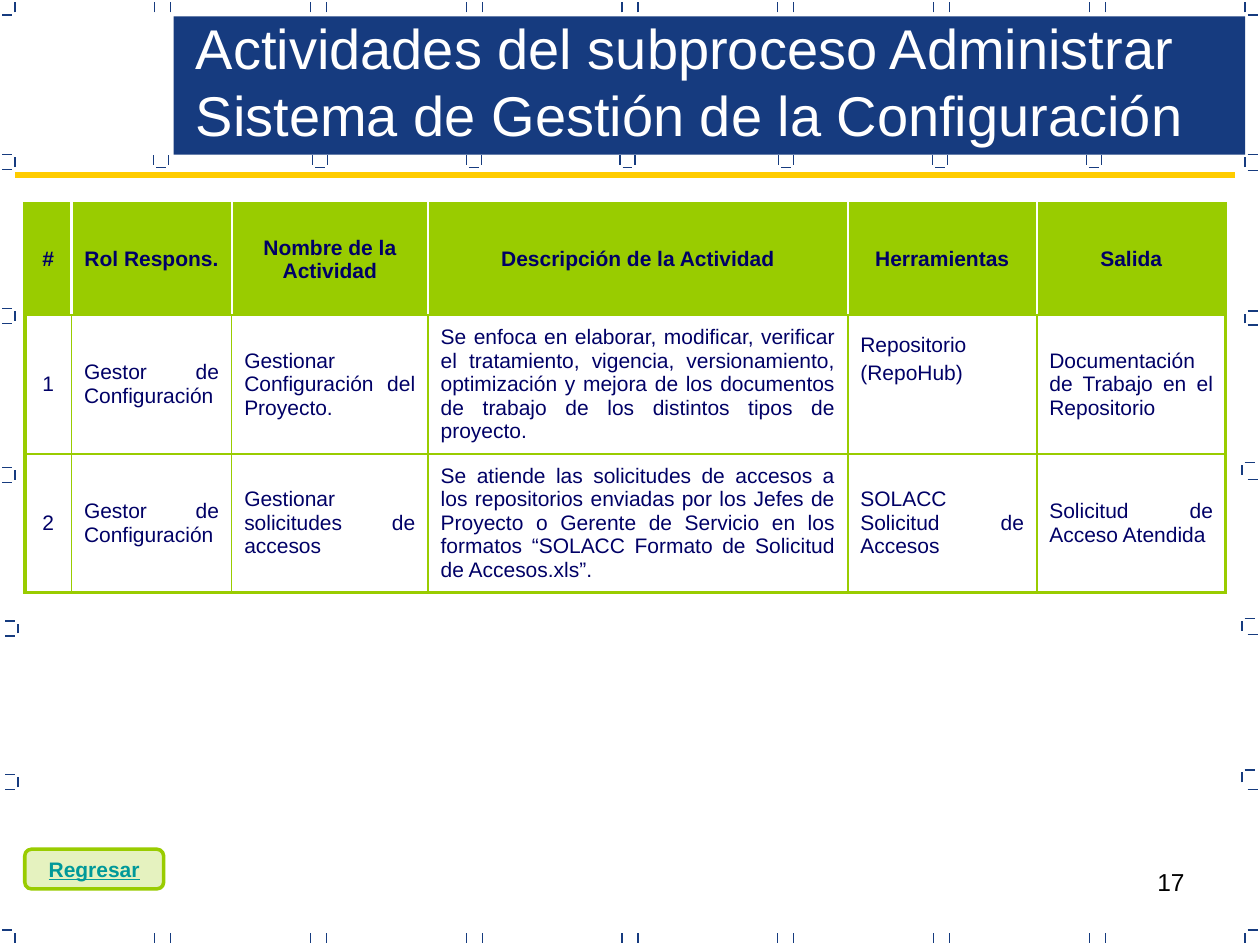
"""Build a slide with the activities table of a configuration management subprocess."""
import lxml.etree
import pptx
import pptx.dml.color
import pptx.enum.shapes
import pptx.enum.text
import pptx.oxml
import pptx.oxml.ns
import pptx.util

Cm = pptx.util.Cm
Pt = pptx.util.Pt
ALIGN = pptx.enum.text.PP_ALIGN
ANCHOR = pptx.enum.text.MSO_ANCHOR
SHAPE = pptx.enum.shapes.MSO_SHAPE

COLORS = {
    "navy": "163B7F",
    "yellow": "FFCC00",
    "green": "99CC00",
    "ink": "000066",
    "teal": "009999",
    "white": "FFFFFF",
    "black": "000000",
}
COLUMN_WIDTHS = [0.94, 3.23, 3.96, 8.46, 3.81, 3.81]
ROW_HEIGHTS = [2.24, 2.77, 2.77]
ROWS = [
    ["#", "Rol Respons.", "Nombre de la Actividad", "Descripción de la Actividad",
     "Herramientas", "Salida"],
    ["1", "Gestor de Configuración", "Gestionar Configuración del Proyecto.",
     "Se enfoca en elaborar, modificar, verificar el tratamiento, vigencia, "
     "versionamiento, optimización y mejora de los documentos de trabajo de los "
     "distintos tipos de proyecto.",
     "Repositorio\n(RepoHub)", "Documentación de Trabajo en el Repositorio"],
    ["2", "Gestor de Configuración", "Gestionar solicitudes de accesos",
     "Se atiende las solicitudes de accesos a los repositorios enviadas por los Jefes "
     "de Proyecto o Gerente de Servicio en los formatos “SOLACC Formato de Solicitud "
     "de Accesos.xls”.",
     "SOLACC Solicitud de Accesos", "Solicitud de Acceso Atendida"],
]


def rgb(name):
    return pptx.dml.color.RGBColor.from_string(COLORS[name])


def write_text(frame, text, size=12, color="ink", bold=False, underline=False,
               align=ALIGN.LEFT, space_before=0):
    for index, line in enumerate(text.split("\n")):
        paragraph = frame.add_paragraph() if index else frame.paragraphs[0]
        paragraph.alignment = align
        paragraph.space_before = Pt(space_before if index else 0)
        run = paragraph.add_run()
        run.text = line
        run.font.name = "Arial"
        run.font.size = Pt(size)
        run.font.bold = bold
        run.font.underline = underline
        run.font.color.rgb = rgb(color)


def add_text_box(slide, left, top, width, height, text, **text_format):
    frame = slide.shapes.add_textbox(Cm(left), Cm(top), Cm(width), Cm(height)).text_frame
    frame.word_wrap = True
    write_text(frame, text, **text_format)


def add_line(slide, x1, y1, x2, y2, color="navy", width=0.75):
    line = slide.shapes.add_connector(
        pptx.enum.shapes.MSO_CONNECTOR.STRAIGHT, Cm(x1), Cm(y1), Cm(x2), Cm(y2))
    line.line.color.rgb = rgb(color)
    line.line.width = Pt(width)
    lxml.etree.SubElement(line._element.spPr, pptx.oxml.ns.qn("a:effectLst"))


def add_shape(slide, kind, left, top, width, height, fill):
    shape = slide.shapes.add_shape(kind, Cm(left), Cm(top), Cm(width), Cm(height))
    shape.shadow.inherit = False
    shape.fill.solid()
    shape.fill.fore_color.rgb = rgb(fill)
    shape.line.fill.background()
    return shape


def add_vertical_mark(slide, x, y):
    add_line(slide, x, y + 0.2, x, y)


def add_horizontal_mark(slide, x, y):
    add_line(slide, x, y, x + 0.2, y)


def add_frame_marks(slide):
    for y in (0.05, 18.8):
        for x in (0.3, 25.1):
            add_vertical_mark(slide, x, y)
        for index in range(7):
            x = 3.12 + 3.14 * index
            add_vertical_mark(slide, x, y)
            add_vertical_mark(slide, x + 0.32, y)
    for y in (0.3, 18.75):
        for x in (0.05, 25.15):
            add_horizontal_mark(slide, x, y)
    for x, y in ((0.3, 3.12), (0.3, 6.22), (0.3, 9.42), (0.36, 12.52), (0.36, 15.62)):
        add_vertical_mark(slide, x, y + 0.05)
        add_horizontal_mark(slide, x - 0.25, y)
        add_horizontal_mark(slide, x - 0.25, y + 0.3)
    right_marks = ((25.1, 3.12), (25.1, 6.27), (25.04, 9.32), (25.04, 12.47), (25.04, 15.52))
    for index, (x, y) in enumerate(right_marks):
        add_vertical_mark(slide, x, y + 0.05)
        add_horizontal_mark(slide, x + 0.05, y)
        add_horizontal_mark(slide, 25.15, 3.43 + 3.12 * index)
    for x in (3.1, 6.3, 9.4, 12.5, 15.7, 18.8, 21.9):
        add_vertical_mark(slide, x, 3.12)
        add_vertical_mark(slide, x + 0.3, 3.12)
        add_horizontal_mark(slide, x + 0.05, 3.38)


def set_border(cell, side, color, width):
    properties = cell._tc.get_or_add_tcPr()
    properties.append(pptx.oxml.parse_xml(
        f'<a:ln{side} {pptx.oxml.ns.nsdecls("a")} w="{Pt(width)}"><a:solidFill>'
        f'<a:srgbClr val="{COLORS[color]}"/></a:solidFill></a:ln{side}>'))


def format_cell(cell, row, column):
    last_row, last_column = len(ROW_HEIGHTS) - 1, len(COLUMN_WIDTHS) - 1
    header = row == 0
    inner = ("white", 1.5) if header else ("green", 1)
    outer = ("green", 2.25)
    set_border(cell, "L", *(outer if column == 0 else inner))
    set_border(cell, "R", *(outer if column == last_column else inner))
    set_border(cell, "T", "green", 2.25 if header else 1.5)
    set_border(cell, "B", "green", 2.25 if row == last_row else 1.5)
    if header:
        cell.fill.solid()
        cell.fill.fore_color.rgb = rgb("green")
    else:
        cell.fill.background()
    cell.vertical_anchor = ANCHOR.MIDDLE


def add_activities_table(slide):
    table = slide.shapes.add_table(
        len(ROW_HEIGHTS), len(COLUMN_WIDTHS), Cm(0.5), Cm(4.11),
        Cm(sum(COLUMN_WIDTHS)), Cm(sum(ROW_HEIGHTS))).table
    table.horz_banding = False
    for column, width in zip(table.columns, COLUMN_WIDTHS):
        column.width = Cm(width)
    for row, height in zip(table.rows, ROW_HEIGHTS):
        row.height = Cm(height)
    for row, texts in enumerate(ROWS):
        for column, text in enumerate(texts):
            cell = table.cell(row, column)
            format_cell(cell, row, column)
            centered = row == 0 or column == 0
            write_text(cell.text_frame, text, bold=row == 0, space_before=2.4,
                       align=ALIGN.CENTER if centered else ALIGN.JUSTIFY)
    table.cell(1, 4).margin_bottom = Cm(1.13)


def add_return_button(slide):
    button = add_shape(slide, SHAPE.FLOWCHART_ALTERNATE_PROCESS, 0.5, 17.12, 2.8, 0.8, "green")
    color = button._element.spPr.find(".//" + pptx.oxml.ns.qn("a:srgbClr"))
    lxml.etree.SubElement(color, pptx.oxml.ns.qn("a:alpha"), val="25000")
    button.line.color.rgb = rgb("green")
    button.line.width = Pt(2)
    button.text_frame.word_wrap = False
    button.text_frame.vertical_anchor = ANCHOR.MIDDLE
    write_text(button.text_frame, "Regresar", color="teal", bold=True, underline=True,
               align=ALIGN.CENTER)


def main():
    presentation = pptx.Presentation()
    presentation.slide_width = Cm(25.4)
    presentation.slide_height = Cm(19.05)
    slide = presentation.slides.add_slide(presentation.slide_layouts[6])
    add_text_box(slide, 18.2, 17.35, 5.93, 1.32, "17", size=14, color="black",
                 align=ALIGN.RIGHT)
    add_frame_marks(slide)
    add_shape(slide, SHAPE.RECTANGLE, 3.5, 0.33, 21.6, 2.79, "navy")
    add_activities_table(slide)
    add_return_button(slide)
    add_text_box(slide, 3.7, 0.15, 22.94, 2.97,
                 "Actividades del subproceso Administrar Sistema de Gestión de la Configuración",
                 size=32, color="white")
    add_line(slide, 0.3, 3.53, 24.9, 3.53, color="yellow", width=3)
    presentation.save("out.pptx")


main()
